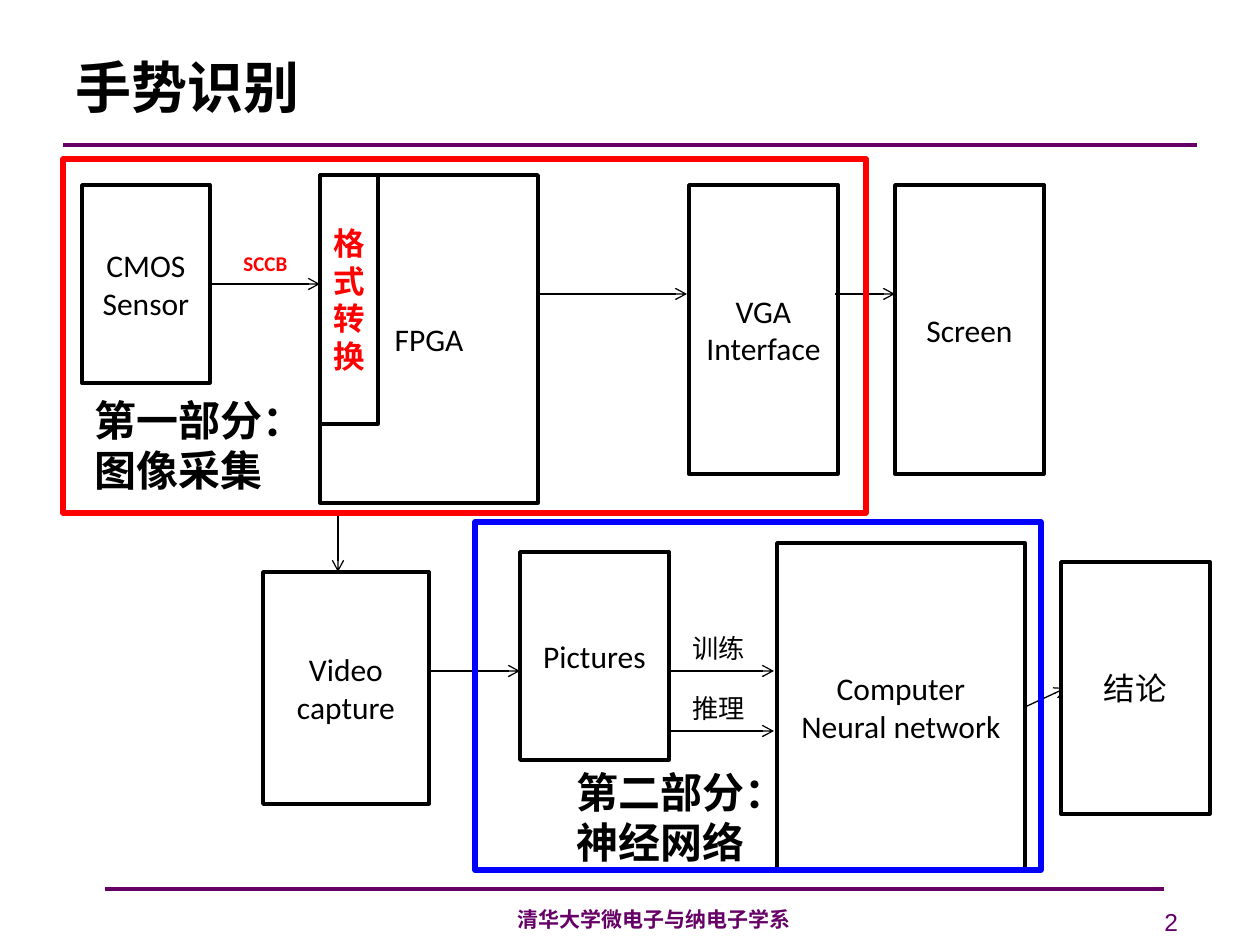
from pptx import Presentation
from pptx.dml.color import RGBColor
from pptx.enum.shapes import MSO_CONNECTOR, MSO_SHAPE
from pptx.enum.text import MSO_ANCHOR, PP_ALIGN
from pptx.oxml.ns import qn
from pptx.util import Pt
from lxml.etree import SubElement

SCALE = 914400 / 126
BLACK = RGBColor(0, 0, 0)
WHITE = RGBColor(255, 255, 255)
RED = RGBColor(255, 0, 0)
BLUE = RGBColor(0, 0, 255)
PURPLE = RGBColor(0x66, 0, 0x66)


def px(*nums):
    return [round(n * SCALE) for n in nums]


class Board:
    def __init__(self, slide, font="Calibri"):
        self.shapes = slide.shapes
        self.font = font

    def fill_text(self, shape, text, size, color, bold, align, anchor,
                  font=None):
        frame = shape.text_frame
        frame.word_wrap = True
        frame.vertical_anchor = anchor
        frame.text = text
        for para in frame.paragraphs:
            para.alignment = align
            for run in para.runs:
                run.font.name = font or self.font
                run.font.size = Pt(size)
                run.font.bold = bold
                run.font.color.rgb = color

    def label(self, area, text, size, color=BLACK, bold=False,
              align=PP_ALIGN.LEFT, anchor=MSO_ANCHOR.TOP, font=None):
        box = self.shapes.add_textbox(*px(*area))
        self.fill_text(box, text, size, color, bold, align, anchor, font)

    def rect(self, area, color, width):
        shape = self.shapes.add_shape(MSO_SHAPE.RECTANGLE, *px(*area))
        shape.shadow.inherit = False
        shape.fill.background()
        shape.line.color.rgb = color
        shape.line.width = Pt(width)
        return shape

    def block(self, area, text, color=BLACK, bold=False):
        shape = self.rect(area, BLACK, 2)
        shape.fill.solid()
        shape.fill.fore_color.rgb = WHITE
        self.fill_text(shape, text, 18, color, bold,
                       PP_ALIGN.CENTER, MSO_ANCHOR.MIDDLE)
        return shape

    def line(self, ends, color, width):
        link = self.shapes.add_connector(MSO_CONNECTOR.STRAIGHT, *px(*ends))
        link.line.color.rgb = color
        link.line.width = Pt(width)
        SubElement(link._element.spPr, qn("a:effectLst"))
        return link

    def arrow(self, ends, start=None):
        link = self.line(ends, BLACK, 0.75)
        stroke = link._element.spPr.find(qn("a:ln"))
        SubElement(stroke, qn("a:tailEnd"), type="arrow")
        if start is not None:
            link.begin_connect(start, 3)


def main():
    deck = Presentation()
    deck.slide_width, deck.slide_height = px(1260, 945)
    board = Board(deck.slides.add_slide(deck.slide_layouts[6]))

    board.line((63, 145, 1197, 145), PURPLE, 2.25)
    board.line((105, 889, 1164, 889), PURPLE, 2.25)
    board.label((272, 900, 764, 38), "清华大学微电子与纳电子学系", 12, PURPLE,
                True, PP_ALIGN.CENTER, font="Arial")
    board.label((63, 38, 1134, 97), "手势识别", 32, bold=True,
                anchor=MSO_ANCHOR.MIDDLE, font="Arial")
    board.label((1152, 901, 108, 44), "2", 14, PURPLE, font="Arial")

    cmos = board.block((82, 185, 128, 198), "CMOS\nSensor")
    board.block((320, 175, 218, 328), "FPGA")
    board.block((320, 175, 58, 249), "格式转换", RED, True)
    board.block((689, 185, 149, 289), "VGA\nInterface")
    board.block((895, 185, 149, 289), "Screen")
    board.block((263, 572, 166, 232), "Video\ncapture")
    brain = board.block((777, 543, 248, 328), "Computer\nNeural network")
    board.block((520, 552, 149, 208), "Pictures")

    board.arrow((210, 284, 320, 284), cmos)
    for ends in (
        (538, 294, 687, 294),
        (835, 294, 895, 294),
        (338, 513, 338, 572),
        (429, 671, 520, 671),
        (669, 671, 774, 671),
        (669, 731, 774, 731),
    ):
        board.arrow(ends)
    board.arrow((1025, 707, 1066, 688), brain)
    board.block((1061, 562, 149, 252), "结论")

    board.label((680, 626, 97, 44), "训练", 15)
    board.label((680, 686, 97, 44), "推理", 15)

    board.rect((63, 159, 803, 354), RED, 3)
    board.rect((475, 522, 566, 348), BLUE, 3)
    board.label((82, 388, 198, 115), "第一部分：图像采集", 24, bold=True)
    board.label((564, 760, 198, 115), "第二部分：神经网络", 24, bold=True)
    board.label((210, 243, 111, 40), "SCCB", 12, RED, True,
                PP_ALIGN.CENTER, MSO_ANCHOR.MIDDLE)

    deck.save("out.pptx")


if __name__ == "__main__":
    main()
